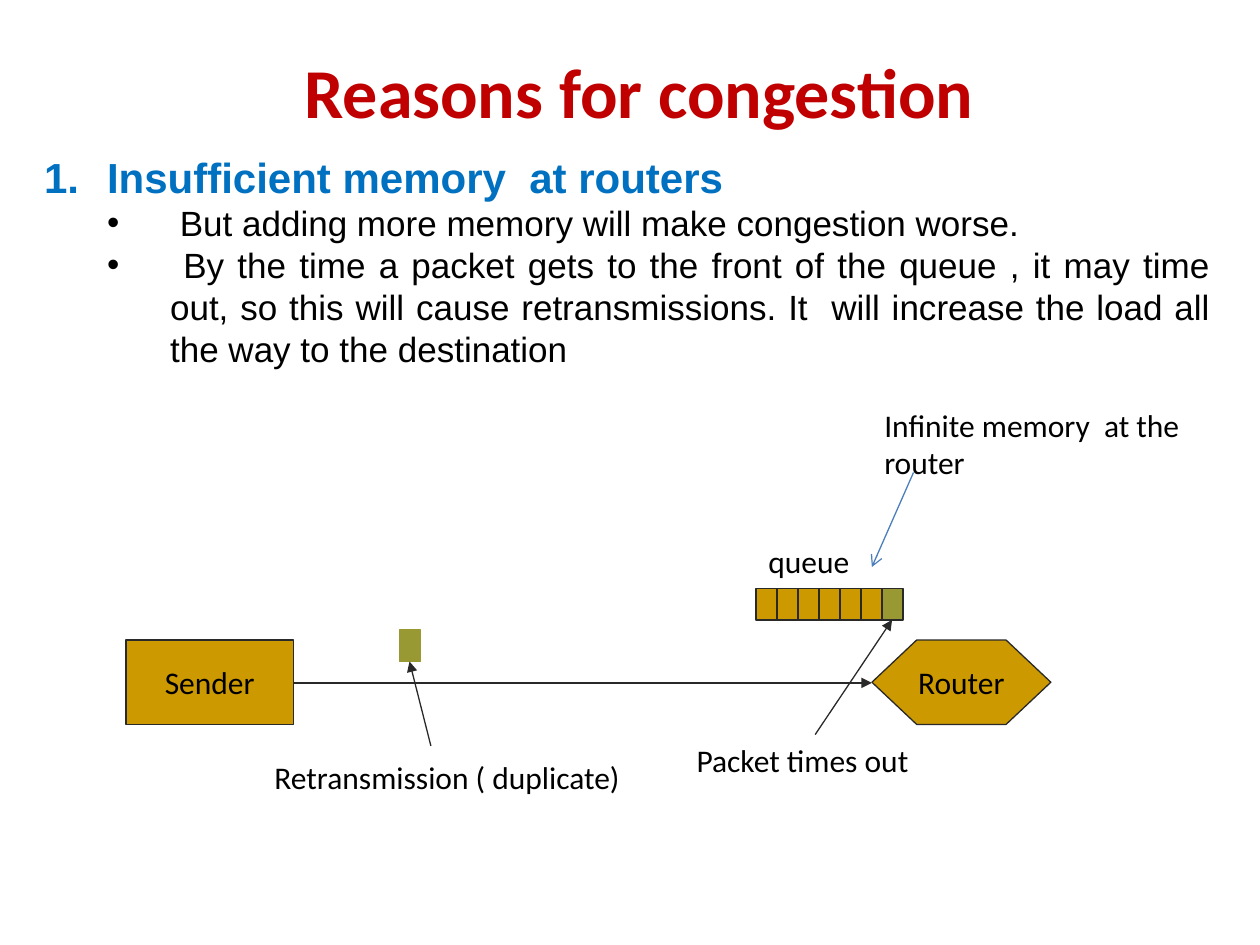
from dataclasses import dataclass

from lxml import etree
from pptx import Presentation
from pptx.dml.color import RGBColor
from pptx.enum.shapes import MSO_CONNECTOR, MSO_SHAPE
from pptx.enum.text import MSO_ANCHOR, MSO_AUTO_SIZE, PP_ALIGN
from pptx.oxml.ns import qn
from pptx.util import Inches, Pt

RECTANGLE, HEXAGON = MSO_SHAPE.RECTANGLE, MSO_SHAPE.HEXAGON
STRAIGHT = MSO_CONNECTOR.STRAIGHT
MIDDLE, TOP = MSO_ANCHOR.MIDDLE, MSO_ANCHOR.TOP
NO_FIT = MSO_AUTO_SIZE.NONE
LEFT, CENTER, JUSTIFY = PP_ALIGN.LEFT, PP_ALIGN.CENTER, PP_ALIGN.JUSTIFY

COLORS = {
    "title": "C00000",
    "heading": "0070C0",
    "text": "000000",
    "node": "CC9900",
    "packet": "999933",
    "outline": "292929",
    "pointer": "4B7EBC",
}
CELL_WIDTH, CELL_HEIGHT = 1 / 6, 0.25
QUEUE_LEFT, QUEUE_TOP, QUEUE_CELLS = 6, 4.67, 7


@dataclass
class Box:
    left: float
    top: float
    width: float
    height: float
    fill: str = "node"
    line: str = "outline"
    preset: int = RECTANGLE
    text: str = ""


@dataclass
class Label:
    left: float
    top: float
    width: float
    height: float
    text: str
    wrap: bool = True


@dataclass
class Arrow:
    start: tuple[float, float]
    end: tuple[float, float]
    color: str = "outline"
    head: str = "triangle"


@dataclass
class Item:
    text: str
    level: int
    size: float
    color: str
    bold: bool
    spacing: float
    bullet: tuple[str, str, str]


def rgb(name: str) -> RGBColor:
    return RGBColor.from_string(COLORS[name])


def place(shape, left: float, top: float, width: float, height: float) -> None:
    shape.left, shape.top = Inches(left), Inches(top)
    shape.width, shape.height = Inches(width), Inches(height)


def add_run(paragraph, text: str, size: float = 18, color: str = "text",
            font: str = "Calibri", bold: bool = False) -> None:
    run = paragraph.add_run()
    run.text = text
    run.font.name, run.font.size, run.font.bold = font, Pt(size), bold
    run.font.color.rgb = rgb(color)


def add_box(slide, box: Box):
    shape = slide.shapes.add_shape(box.preset, Inches(box.left), Inches(box.top),
                                   Inches(box.width), Inches(box.height))
    shape.shadow.inherit = False
    shape.fill.solid()
    shape.fill.fore_color.rgb = rgb(box.fill)
    shape.line.color.rgb = rgb(box.line)
    shape.line.width = Pt(0.75)
    if box.text:
        shape.text_frame.word_wrap = False
        shape.text_frame.vertical_anchor = MIDDLE
        paragraph = shape.text_frame.paragraphs[0]
        paragraph.alignment = CENTER
        add_run(paragraph, box.text)
    return shape


def add_label(slide, label: Label) -> None:
    shape = slide.shapes.add_textbox(Inches(label.left), Inches(label.top),
                                     Inches(label.width), Inches(label.height))
    shape.text_frame.word_wrap = label.wrap
    paragraph = shape.text_frame.paragraphs[0]
    paragraph.alignment = LEFT
    add_run(paragraph, label.text)


def add_arrow(slide, arrow: Arrow) -> None:
    points = [Inches(value) for value in arrow.start + arrow.end]
    connector = slide.shapes.add_connector(STRAIGHT, *points)
    connector.line.color.rgb = rgb(arrow.color)
    connector.line.width = Pt(0.75)
    etree.SubElement(connector.line._get_or_add_ln(), qn("a:tailEnd"), type=arrow.head)
    etree.SubElement(connector._element.spPr, qn("a:effectLst"))


def add_item(paragraph, item: Item) -> None:
    paragraph.level = item.level
    paragraph.alignment = JUSTIFY
    paragraph.line_spacing = item.spacing
    paragraph.space_before = Pt(0)
    properties = paragraph._p.get_or_add_pPr()
    properties.set("marL", str(Inches(0.5 * (item.level + 1))))
    properties.set("indent", str(Inches(-0.5)))
    etree.SubElement(properties, qn("a:buFont"), typeface="Arial")
    tag, attribute, value = item.bullet
    etree.SubElement(properties, qn(tag), {attribute: value})
    add_run(paragraph, item.text, item.size, item.color, "Arial", item.bold)


NUMBER = ("a:buAutoNum", "type", "arabicPeriod")
DOT = ("a:buChar", "char", "•")
ITEMS = [
    Item("Insufficient memory  at routers", 0, 24, "heading", True, 2.0, NUMBER),
    Item(" But adding more memory will make congestion worse.",
         1, 20, "text", False, 1.0, DOT),
    Item(" By the time a packet gets to the front of the queue , it may time out, "
         "so this will cause retransmissions. It  will increase the load all the way "
         "to the destination", 1, 20, "text", False, 1.0, DOT),
]
LABELS = [
    Label(6, 4.25, 1, 0.5, "queue", wrap=False),
    Label(2.08, 5.97, 3, 0.4, "Retransmission ( duplicate)"),
    Label(5.43, 5.83, 2.07, 0.4, "Packet times out"),
    Label(6.92, 3.17, 2.83, 0.71, "Infinite memory  at the router"),
]
ARROWS = [
    Arrow((2.33, 5.42), (6.92, 5.42)),
    Arrow((3.42, 5.92), (3.25, 5.25)),
    Arrow((6.47, 5.83), (7.08, 4.92)),
    Arrow((7.25, 3.75), (6.92, 4.5), "pointer", "arrow"),
]


def main() -> None:
    presentation = Presentation()
    presentation.slide_width, presentation.slide_height = Inches(10), Inches(7.5)
    slide = presentation.slides.add_slide(presentation.slide_layouts[1])

    # Title
    title = slide.shapes.title
    place(title, 0.2, 0.21, 9.63, 0.69)
    title.text_frame.auto_size = NO_FIT
    title.text_frame.vertical_anchor = MIDDLE
    paragraph = title.text_frame.paragraphs[0]
    paragraph.alignment = CENTER
    paragraph.line_spacing = 1.5
    add_run(paragraph, " ", 36, "title", bold=True)
    add_run(paragraph, "Reasons for congestion", 40, "title", bold=True)

    # Numbered reason with its bullets
    body = slide.placeholders[1]
    place(body, 0.25, 0.75, 9.46, 2.26)
    frame = body.text_frame
    frame.auto_size = NO_FIT
    frame.vertical_anchor = TOP
    for index, item in enumerate(ITEMS):
        add_item(frame.add_paragraph() if index else frame.paragraphs[0], item)

    # Sender, router and retransmitted packet
    add_box(slide, Box(1, 5.08, 1.33, 0.67, text="Sender"))
    router = add_box(slide, Box(6.92, 5.08, 1.42, 0.67, preset=HEXAGON, text="Router"))
    router.adjustments[0] = 0.53
    add_box(slide, Box(3.17, 5, CELL_WIDTH, CELL_HEIGHT, "packet", "packet"))

    # Queue, whose last cell holds the packet that times out
    for index in range(QUEUE_CELLS):
        fill = "packet" if index == QUEUE_CELLS - 1 else "node"
        add_box(slide, Box(QUEUE_LEFT + index * CELL_WIDTH, QUEUE_TOP,
                           CELL_WIDTH, CELL_HEIGHT, fill))

    # Arrows and labels
    for arrow in ARROWS:
        add_arrow(slide, arrow)
    for label in LABELS:
        add_label(slide, label)

    presentation.save("out.pptx")


if __name__ == "__main__":
    main()
